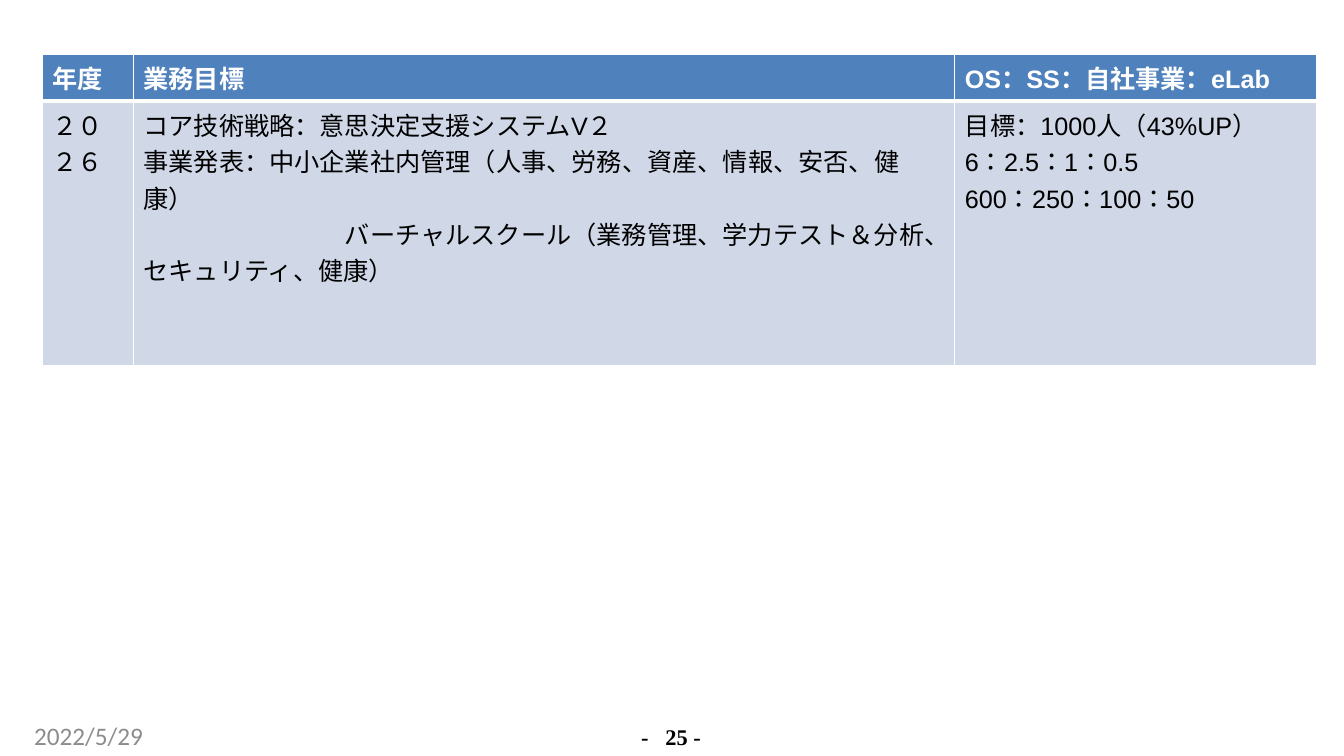
from lxml import etree
from pptx import Presentation
from pptx.dml.color import RGBColor
from pptx.enum.text import PP_ALIGN
from pptx.oxml.ns import qn
from pptx.util import Cm, Pt

CENTER = PP_ALIGN.CENTER
BLANK_LAYOUT = 6
WHITE, BLACK, GREY = "FFFFFF", "000000", "8C8C8C"
HEADER_BLUE, BODY_BLUE = "4F81BD", "D0D8E8"
CJK_FONT = "Noto Sans CJK JP"

COLUMN_WIDTHS = (2.29, 20.7, 9.12)
ROW_HEIGHTS = (1.17, 6.68)
SCHOOL_GOAL = "バーチャルスクール（業務管理、学力テスト＆分析、セキュリティ、健康）"
ROWS = (
    (("年度",), ("業務目標",), ("OS：SS：自社事業：eLab",)),
    (
        ("２０２６",),
        (
            "コア技術戦略：意思決定支援システムV２",
            "事業発表：中小企業社内管理（人事、労務、資産、情報、安否、健康）",
            SCHOOL_GOAL,
        ),
        ("目標：1000人（43%UP）", "6：2.5：1：0.5", "600：250：100：50"),
    ),
)


def rgb(color):
    return RGBColor.from_string(color)


def add_span(para, text, font, size, color, bold=False):
    span = para.add_run()
    span.text = text
    span.font.name = font
    span.font.size = Pt(size)
    span.font.bold = bold
    span.font.color.rgb = rgb(color)
    return span


def add_box(page, left, top, width, height):
    """Add a text box without margins and return its first paragraph."""
    box = page.shapes.add_textbox(Cm(left), Cm(top), Cm(width), Cm(height))
    frame = box.text_frame
    frame.word_wrap = True
    frame.margin_left = frame.margin_right = 0
    frame.margin_top = frame.margin_bottom = 0
    return frame.paragraphs[0]


def set_borders(cell, bottom_width):
    """Draw white cell borders, 1 pt wide except for the bottom one."""
    properties = cell._tc.get_or_add_tcPr()
    widths = {"lnL": 1, "lnR": 1, "lnT": 1, "lnB": bottom_width}
    for position, (side, width) in enumerate(widths.items()):
        line = etree.Element(qn(f"a:{side}"), w=str(Pt(width)))
        fill = etree.SubElement(line, qn("a:solidFill"))
        etree.SubElement(fill, qn("a:srgbClr"), val=WHITE)
        properties.insert(position, line)


def fill_cell(cell, lines, is_header):
    cell.fill.solid()
    cell.fill.fore_color.rgb = rgb(HEADER_BLUE if is_header else BODY_BLUE)
    set_borders(cell, 3 if is_header else 1)
    frame = cell.text_frame
    for index, line in enumerate(lines):
        para = frame.add_paragraph() if index else frame.paragraphs[0]
        if line == SCHOOL_GOAL:
            para._p.get_or_add_pPr().set("indent", str(Cm(5.08)))
        color = WHITE if is_header else BLACK
        span = add_span(para, line, "Arial", 18, color, is_header)
        etree.SubElement(span.font._element, qn("a:ea"), typeface=CJK_FONT)


def add_goal_table(page):
    frame = page.shapes.add_table(
        len(ROWS), len(COLUMN_WIDTHS), Cm(1.07), Cm(1.37),
        Cm(sum(COLUMN_WIDTHS)), Cm(sum(ROW_HEIGHTS)))
    table = frame.table
    for column, width in zip(table.columns, COLUMN_WIDTHS):
        column.width = Cm(width)
    for row, height in zip(table.rows, ROW_HEIGHTS):
        row.height = Cm(height)
    for row_index, row in enumerate(ROWS):
        for column_index, lines in enumerate(row):
            fill_cell(table.cell(row_index, column_index), lines, row_index == 0)


def add_page_number(page):
    para = add_box(page, 15.82, 18.26, 2.18, 0.64)
    para.alignment = CENTER
    para.line_spacing = Pt(18.4)
    tabs = etree.SubElement(para._p.get_or_add_pPr(), qn("a:tabLst"))
    etree.SubElement(tabs, qn("a:tab"), pos=str(Cm(0.61)), algn="l")
    add_span(para, "-\t25 -", "Times New Roman", 16, BLACK, bold=True)


def add_date(page):
    para = add_box(page, 0.86, 18.14, 7.8, 0.76)
    add_span(para, "2022/5/29", "Calibri", 18, GREY)


def main():
    deck = Presentation()
    deck.slide_width, deck.slide_height = Cm(33.87), Cm(19.05)
    page = deck.slides.add_slide(deck.slide_layouts[BLANK_LAYOUT])
    add_page_number(page)
    add_date(page)
    add_goal_table(page)
    deck.save("out.pptx")


if __name__ == "__main__":
    main()
